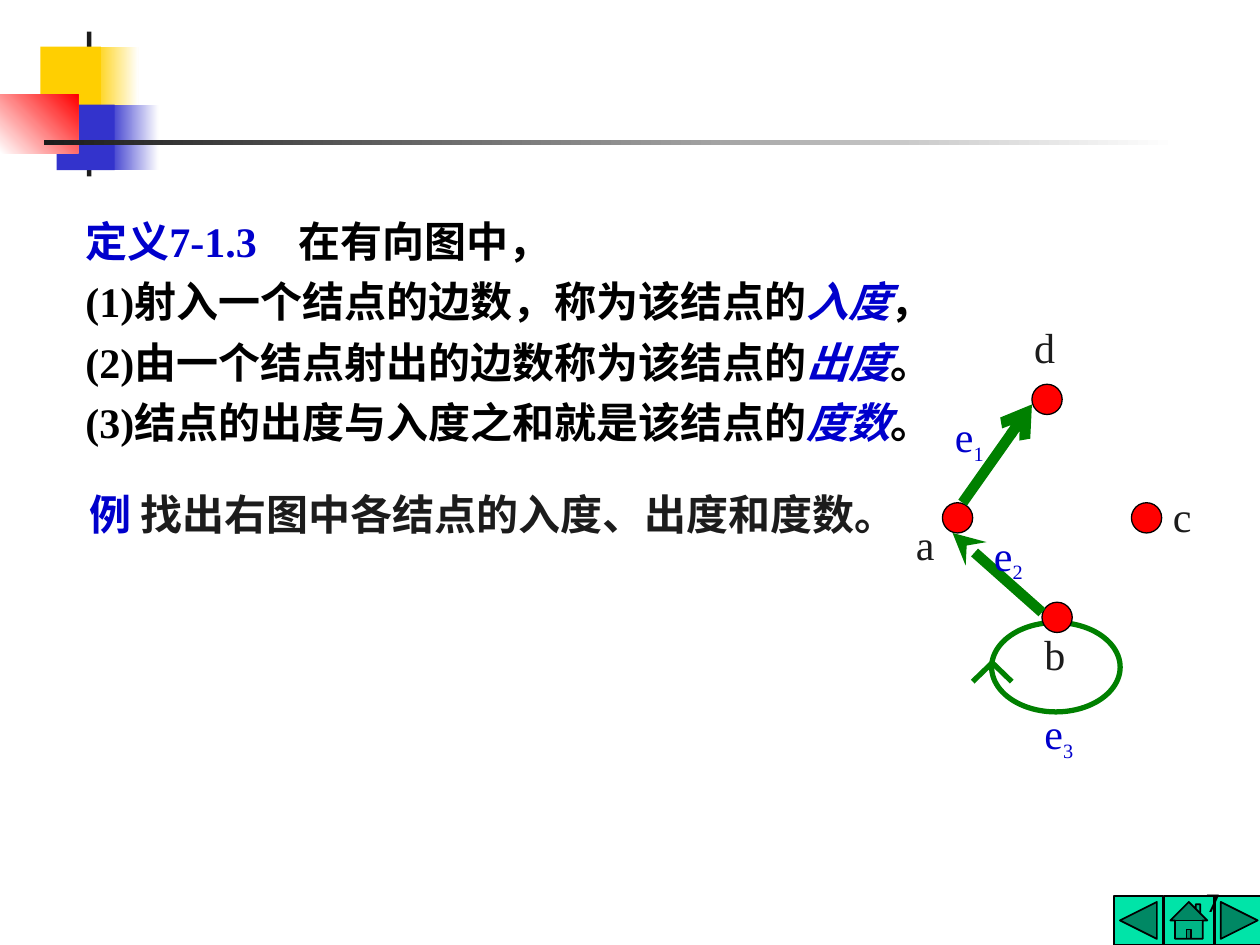
from lxml.etree import SubElement
from pptx import Presentation
from pptx.dml.color import RGBColor
from pptx.enum.shapes import MSO_CONNECTOR, MSO_SHAPE
from pptx.enum.text import MSO_ANCHOR, MSO_AUTO_SIZE, PP_ALIGN
from pptx.oxml.ns import qn
from pptx.util import Inches, Pt

COLORS = {
    "ink": "1C1C1C", "black": "000000", "white": "FFFFFF", "term": "0000CC",
    "yellow": "FFCF01", "blue": "3333CC", "red": "FF0000",
    "edge": "008000", "button": "00E4A8",
}
COLS, ROWS = 100, 75
NODE = 2.4  # diameter of a graph node, in grid units


def rgb(name):
    return RGBColor.from_string(COLORS[name])


class SlideBuilder:
    """Draws on one slide; lengths are columns and rows of a COLS x ROWS grid."""

    font = "Times New Roman"
    size = 24

    def __init__(self, prs):
        self.s = prs.slides.add_slide(prs.slide_layouts[6])
        self.col = prs.slide_width / COLS
        self.row = prs.slide_height / ROWS

    def at(self, x, y):
        return round(x * self.col), round(y * self.row)

    def shape(self, kind, x, y, w, h, fill=None, line=None, weight=1):
        sp = self.s.shapes.add_shape(kind, *self.at(x, y), *self.at(w, h))
        sp.shadow.inherit = False
        if fill:
            sp.fill.solid()
            sp.fill.fore_color.rgb = rgb(fill)
        else:
            sp.fill.background()
        if line:
            sp.line.color.rgb = rgb(line)
            sp.line.width = Pt(weight)
        else:
            sp.line.fill.background()
        return sp

    def fade(self, x, y, w, h, start, end, angle=0):
        """Rectangle with a two-colour gradient."""
        sp = self.shape(MSO_SHAPE.RECTANGLE, x, y, w, h)
        sp.fill.gradient()
        sp.fill.gradient_angle = angle
        for stop, color, position in zip(sp.fill.gradient_stops, (start, end), (0, 1)):
            stop.color.rgb = rgb(color)
            stop.position = position

    def edge(self, start, end, weight, head=None):
        """Straight line; the arrowhead sits at its start."""
        line = self.s.shapes.add_connector(
            MSO_CONNECTOR.STRAIGHT, *self.at(*start), *self.at(*end))
        line.line.color.rgb = rgb("edge")
        line.line.width = Pt(weight)
        if head:
            SubElement(line.line._ln, qn("a:headEnd"), type=head)
        SubElement(line._element.spPr, qn("a:effectLst"))

    def text(self, x, y, w, h, paragraphs, spacing=None, tab=None, wrap=True):
        """Each paragraph is a list of (text, colour, format) runs."""
        tf = self.s.shapes.add_textbox(*self.at(x, y), *self.at(w, h)).text_frame
        tf.word_wrap = wrap
        tf.auto_size = MSO_AUTO_SIZE.SHAPE_TO_FIT_TEXT
        for i, runs in enumerate(paragraphs):
            p = tf.add_paragraph() if i else tf.paragraphs[0]
            p.line_spacing = spacing
            if tab and i == 0:
                tabs = SubElement(p._p.get_or_add_pPr(), qn("a:tabLst"))
                SubElement(tabs, qn("a:tab"), pos=str(round(tab * self.col)), algn="l")
            for words, color, style in runs:
                r = p.add_run()
                r.text = words
                r.font.name = self.font
                r.font.size = Pt(style.get("size", self.size))
                r.font.bold = style.get("bold")
                r.font.italic = style.get("italic")
                r.font.color.rgb = rgb(color)
                if "baseline" in style:
                    r.font._element.set("baseline", str(style["baseline"]))
        return tf


def decoration(b):
    rect = MSO_SHAPE.RECTANGLE
    b.fade(7.4, 3.7, 3.6, 5.2, "yellow", "white")
    b.fade(8.6, 8.3, 4, 5.2, "blue", "white")
    b.shape(rect, 6.9, 2.5, 0.35, 11.5, "ink")
    b.shape(rect, 3.2, 3.7, 4.8, 5.2, "yellow")
    b.shape(rect, 4.5, 8.3, 4.6, 5.2, "blue")
    b.fade(0, 7.5, 6.2, 4.65, "white", "red", 45)
    b.fade(3.5, 11.1, 90, 0.38, "ink", "white")


def navigation(b):
    buttons = (MSO_SHAPE.ACTION_BUTTON_BACK_OR_PREVIOUS,
               MSO_SHAPE.ACTION_BUTTON_HOME,
               MSO_SHAPE.ACTION_BUTTON_FORWARD_OR_NEXT)
    for i, kind in enumerate(buttons):
        b.shape(kind, 88.4 + 4 * i, 71.1, 3.9, 3.9, "button", "black")
    tf = b.text(77, 68.3, 20.8, 5, [[("7", "black", {"size": 14})]])
    tf.auto_size = MSO_AUTO_SIZE.NONE
    tf.vertical_anchor = MSO_ANCHOR.BOTTOM
    p = tf.paragraphs[0]
    p.alignment = PP_ALIGN.RIGHT
    p.runs[0].font.name = "Roboto"


def definition(b):
    bold, term = {"bold": True}, {"bold": True, "italic": True}
    degrees = (("(1)射入一个结点的边数，称为该结点的", "入度", "，"),
               ("(2)由一个结点射出的边数称为该结点的", "出度", "。"),
               ("(3)结点的出度与入度之和就是该结点的", "度数", "。"))
    paragraphs = [[("定义7-1.3\t", "term", bold), ("在有向图中，", "black", bold)]]
    paragraphs += [[(lead, "black", bold), (word, "term", term), (stop, "black", bold)]
                   for lead, word, stop in degrees]
    b.text(5.8, 15.8, 72.4, 20.2, paragraphs, spacing=1.2, tab=16.9)


def example(b):
    b.text(6.1, 38.3, 66.1, 5, [[
        ("例", "term", {"bold": True}),
        (" 找出右图中各结点的入度、出度和度数。", "ink", {"bold": True})]], wrap=False)


def graph(b):
    nodes = {  # name: (node corner, label corner)
        "d": ((81.9, 30.5), (81.1, 25)),
        "a": ((74.8, 39.9), (71.7, 40.7)),
        "b": ((82.7, 47.8), (81.9, 49.4)),
        "c": ((89.8, 39.9), (92.1, 38.4)),
    }
    edge_labels = {"1": (74.8, 32.1), "2": (77.9, 41.5), "3": (81.9, 55.7)}

    b.shape(MSO_SHAPE.OVAL, 78.7, 49.4, 10.2, 7.1, line="edge", weight=3)
    for corner, _ in nodes.values():
        b.shape(MSO_SHAPE.OVAL, *corner, NODE, NODE, "red", "black", 0.75)
    b.edge((81.9, 32.1), (76.4, 39.9), 6, "arrow")
    b.edge((75.6, 42.3), (82.7, 48.6), 6, "stealth")
    for name, (_, corner) in nodes.items():
        b.text(*corner, 5.5, 5, [[(name, "ink", {})]])
    for number, corner in edge_labels.items():
        b.text(*corner, 5.5, 5.4, [[
            ("e", "term", {}), (number, "term", {"size": 20, "baseline": -25000})]])
    tip_x, tip_y = 78.75, 52.6
    for side in (-1, 1):
        b.edge((tip_x, tip_y), (tip_x + side * 1.55, tip_y + 1.5), 3)


def main():
    prs = Presentation()
    prs.slide_width, prs.slide_height = Inches(10), Inches(7.5)
    b = SlideBuilder(prs)
    for draw in (decoration, navigation, definition, graph, example):
        draw(b)
    prs.save("out.pptx")


if __name__ == "__main__":
    main()
